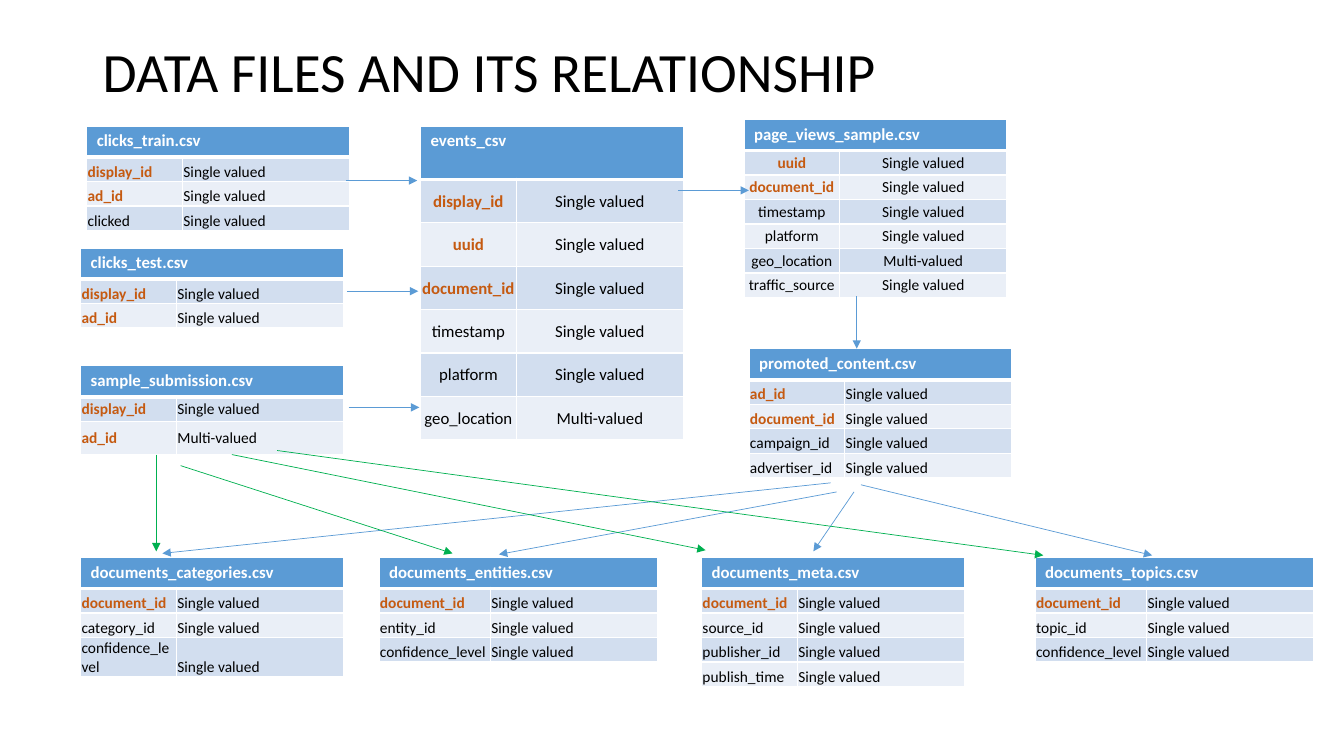
from pptx import Presentation
from pptx.dml.color import RGBColor as RGB
from pptx.enum.shapes import MSO_CONNECTOR as LINK
from pptx.enum.text import MSO_ANCHOR as ANCHOR, MSO_AUTO_SIZE as FIT, PP_ALIGN as ALIGN
from pptx.oxml.ns import qn
from pptx.util import Pt
from lxml.etree import SubElement as sub

# Content
TITLE = "DATA FILES AND ITS RELATIONSHIP"
KEYS = {"display_id", "ad_id", "uuid", "document_id"}

# file, left, top, fields, layout options
FILES = [
    ("events_csv", 300.4, 90,
     ["display_id", "uuid", "document_id", "timestamp", "platform", "geo_location"],
     dict(multi="geo_location", size=12, head=38.2, rows=31, align="mid")),
    ("page_views_sample.csv", 531.4, 85.3,
     ["uuid", "document_id", "timestamp", "platform", "geo_location", "traffic_source"],
     dict(multi="geo_location", align="mid")),
    ("documents_categories.csv", 57.6, 398.2,
     ["document_id", "category_id", "confidence_level"], {}),
    ("sample_submission.csv", 57.6, 261.2,
     ["display_id", "ad_id"], dict(multi="ad_id", last=24, anchor="mid")),
    ("promoted_content.csv", 535, 249,
     ["ad_id", "document_id", "campaign_id", "advertiser_id"], {}),
    ("clicks_train.csv", 61.9, 90, ["display_id", "ad_id", "clicked"], {}),
    ("clicks_test.csv", 57.6, 177.1, ["display_id", "ad_id"], {}),
    ("documents_topics.csv", 739.4, 398.2,
     ["document_id", "topic_id", "confidence_level"], dict(first=79.6)),
    ("documents_meta.csv", 501.1, 398.2,
     ["document_id", "source_id", "publisher_id", "publish_time"], {}),
    ("documents_entities.csv", 270.7, 398.2,
     ["document_id", "entity_id", "confidence_level"], dict(first=79.6)),
]

# colour, start x, start y, end x, end y
LINKS = [
    ("blue", 484.5, 136, 535, 136),
    ("blue", 612, 211.7, 612, 249),
    ("blue", 247, 129, 298, 129),
    ("blue", 247.7, 208, 298.8, 208),
    ("blue", 249, 291, 299.5, 291),
    ("blue", 615, 346.3, 823, 396.7),
    ("green", 111.6, 324.7, 111.6, 393.8),
    ("blue", 610, 351.4, 581, 393.8),
    ("blue", 597.6, 351.4, 356.4, 396),
    ("blue", 593.3, 344.9, 116, 395.3),
    ("green", 129, 332.6, 323.3, 395.3),
    ("green", 165.6, 324.7, 504, 393),
    ("green", 198, 321.8, 745.2, 396.7),
]

COLORS = {"blue": "5B9BD5", "green": "00B050", "key": "C55A11", "black": "000000",
          "white": "FFFFFF", "odd": "D2DEEF", "even": "EAEFF7"}
WIDE = 119.5


def rgb(name):
    return RGB.from_string(COLORS[name])


def write(frame, text, size=11, color="black", bold=False, align=ALIGN.LEFT, space=None):
    para = frame.paragraphs[0]
    para.alignment = align
    para.line_spacing = space
    run = para.add_run()
    run.text = text
    font = run.font
    font.name, font.size, font.bold = "Calibri", Pt(size), bold
    font.color.rgb = rgb(color)


def paint(cell, fill, top=1, base=1):
    """Edge the cell in white, then fill it."""
    props = cell._tc.get_or_add_tcPr()
    for side, width in zip("LRTB", (1, 1, top, base)):
        edge = sub(props, qn("a:ln" + side), w=str(Pt(width)))
        sub(sub(edge, qn("a:solidFill")), qn("a:srgbClr"), val=COLORS["white"])
    cell.fill.solid()
    cell.fill.fore_color.rgb = rgb(fill)


def draw(slide, name, left, top, fields, multi=None, size=11, head=22.2, rows=17.5,
         last=None, first=68.4, align="left", anchor="low"):
    heights = [head] + [rows] * len(fields)
    heights[-1] = last or rows
    table = slide.shapes.add_table(len(heights), 2, Pt(left), Pt(top),
                                   Pt(first + WIDE), Pt(sum(heights))).table
    for col, width in zip(table.columns, (first, WIDE)):
        col.width = Pt(width)
    for row, height in zip(table.rows, heights):
        row.height = Pt(height)

    # Header
    for col in range(2):
        paint(table.cell(0, col), "blue", base=3)
    table.cell(0, 0).merge(table.cell(0, 1))
    write(table.cell(0, 0).text_frame, name, size=12, color="white", bold=True)
    if anchor == "mid":
        table.cell(0, 0).vertical_anchor = ANCHOR.MIDDLE

    # Fields
    mid = align == "mid"
    for row, field in enumerate(fields, 1):
        key = field in KEYS
        value = "Multi-valued" if field == multi else "Single valued"
        for col, text in enumerate((field, value)):
            cell = table.cell(row, col)
            paint(cell, "odd" if row % 2 else "even", top=3 if row == 1 else 1)
            cell.margin_left = cell.margin_right = cell.margin_top = Pt(0.7)
            cell.margin_bottom = 0
            cell.vertical_anchor = ANCHOR.MIDDLE if mid or anchor == "mid" else ANCHOR.BOTTOM
            strong = key and col == 0
            write(cell.text_frame, text, size=size, bold=strong,
                  color="key" if strong else "black",
                  align=ALIGN.CENTER if mid else ALIGN.LEFT)


def link(slide, color, *ends):
    line = slide.shapes.add_connector(LINK.STRAIGHT, *map(Pt, ends))
    line.line.color.rgb = rgb(color)
    line.line.width = Pt(0.5)
    sub(line.line._get_or_add_ln(), qn("a:tailEnd"), type="triangle")
    sub(line._element.spPr, qn("a:effectLst"))


def main():
    deck = Presentation()
    deck.slide_width, deck.slide_height = Pt(960), Pt(540)
    slide = deck.slides.add_slide(deck.slide_layouts[5])

    # Title
    title = slide.shapes.title
    title.left, title.top, title.width, title.height = map(Pt, (66.2, 28.8, 828, 49))
    frame = title.text_frame
    frame.auto_size = FIT.NONE
    frame.vertical_anchor = ANCHOR.MIDDLE
    write(frame, TITLE, size=39.6, space=0.9)

    # Tables and arrows
    for name, left, top, fields, opts in FILES:
        draw(slide, name, left, top, fields, **opts)
    for item in LINKS:
        link(slide, *item)
    deck.save("out.pptx")


if __name__ == "__main__":
    main()
